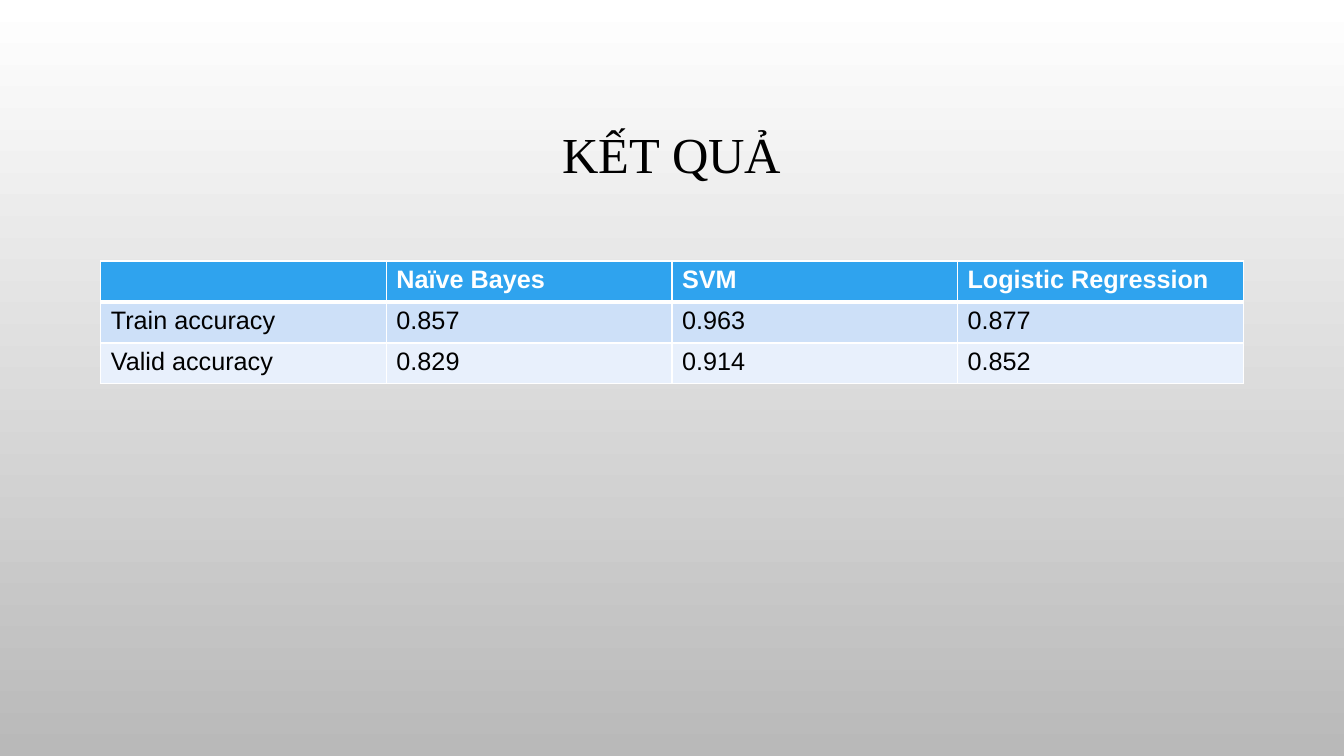
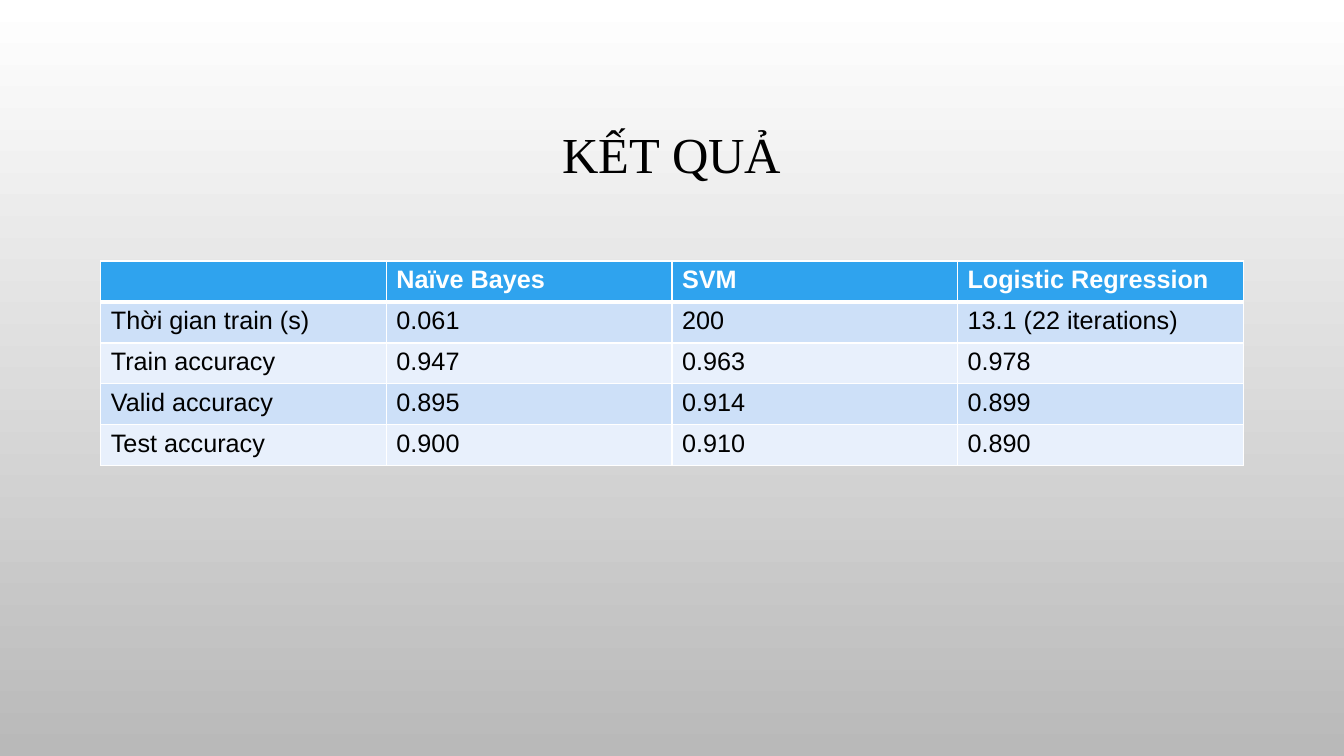
from lxml import etree
from pptx import Presentation
from pptx.dml.color import RGBColor
from pptx.enum.text import MSO_ANCHOR, PP_ALIGN
from pptx.oxml.ns import qn
from pptx.util import Inches, Pt

MIDDLE, CENTER = MSO_ANCHOR.MIDDLE, PP_ALIGN.CENTER

# Content
TITLE = "KẾT QUẢ"
HEADER = ("", "Naïve Bayes", "SVM", "Logistic Regression")
RESULTS = [
    [
        ("Train accuracy", "0.857", "0.963", "0.877"),
        ("Valid accuracy", "0.829", "0.914", "0.852"),
    ],
    [
        ("Thời gian train (s)", "0.061", "200", "13.1 (22 iterations)"),
        ("Train accuracy", "0.947", "0.963", "0.978"),
        ("Valid accuracy", "0.895", "0.914", "0.899"),
        ("Test accuracy", "0.900", "0.910", "0.890"),
    ],
]

# Shared style
WHITE, BLACK, GREY = "FFFFFF", "000000", "B9B9B9"
HEADER_FILL, BANDS = "2FA3EE", ("CDE0F8", "E8F0FC")
TITLE_FONT, TABLE_FONT = "Times New Roman", "Arial"
LEFT, WIDTH = 1, 11.33
TITLE_TOP, TITLE_HEIGHT = 0.68, 1.75
TABLE_TOP, ROW_HEIGHT = 2.59, 0.406
THIN, THICK = 1, 3


def rgb(value):
    return RGBColor.from_string(value)


def style_font(font, name, size, color, bold=False):
    font.name, font.size, font.bold = name, Pt(size), bold
    font.color.rgb = rgb(color)


def set_borders(cell, top, bottom):
    tcPr = cell._tc.get_or_add_tcPr()
    widths = {"a:lnL": THIN, "a:lnR": THIN, "a:lnT": top, "a:lnB": bottom}
    for tag, width in widths.items():
        ln = etree.SubElement(tcPr, qn(tag), w=str(Pt(width)))
        fill = etree.SubElement(ln, qn("a:solidFill"))
        etree.SubElement(fill, qn("a:srgbClr"), val=WHITE)


def add_title(s, text):
    sp = s.shapes.add_textbox(Inches(LEFT), Inches(TITLE_TOP),
                              Inches(WIDTH), Inches(TITLE_HEIGHT))
    tf = sp.text_frame
    tf.word_wrap, tf.vertical_anchor = True, MIDDLE
    p = tf.paragraphs[0]
    p.text, p.alignment, p.line_spacing = text, CENTER, 0.9
    style_font(p.font, TITLE_FONT, 36, BLACK)


def add_results(s, rows):
    rows = [HEADER, *rows]
    table = s.shapes.add_table(
        len(rows), len(HEADER), Inches(LEFT), Inches(TABLE_TOP),
        Inches(WIDTH), Inches(ROW_HEIGHT * len(rows))).table
    for i, row in enumerate(rows):
        is_header = i == 0
        for j, text in enumerate(row):
            cell = table.cell(i, j)
            set_borders(cell, THICK if i == 1 else THIN,
                        THICK if is_header else THIN)
            cell.fill.solid()
            cell.fill.fore_color.rgb = rgb(
                HEADER_FILL if is_header else BANDS[(i - 1) % 2])
            p = cell.text_frame.paragraphs[0]
            p.text = text
            style_font(p.font, TABLE_FONT, 18,
                       WHITE if is_header else BLACK, is_header)


prs = Presentation()
prs.slide_width, prs.slide_height = Inches(13.33), Inches(7.5)

# Background shared through the master, white at the top
bg = prs.slide_master.background.fill
bg.gradient()
bg.gradient_angle = 270
for stop, color in zip(bg.gradient_stops, (WHITE, GREY)):
    stop.color.rgb = rgb(color)

# Slides
for rows in RESULTS:
    s = prs.slides.add_slide(prs.slide_layouts[6])
    add_title(s, TITLE)
    add_results(s, rows)

prs.save("out.pptx")
